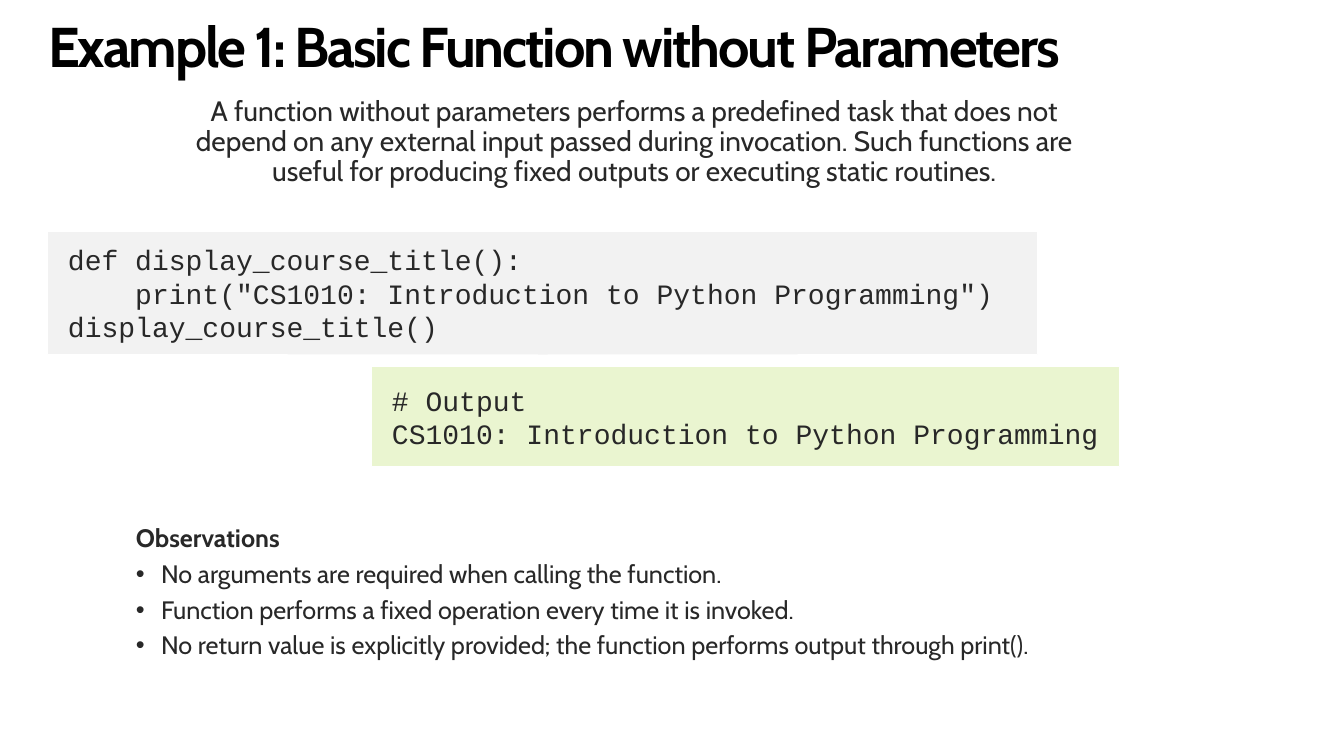
from dataclasses import dataclass

from lxml.etree import SubElement
from pptx import Presentation
from pptx.dml.color import RGBColor
from pptx.enum.shapes import MSO_SHAPE as Shape
from pptx.enum.text import MSO_ANCHOR as Anchor, MSO_AUTO_SIZE as AutoSize, PP_ALIGN as Align
from pptx.oxml.ns import qn
from pptx.util import Emu, Pt

PX = 914400 / 100.8


@dataclass(frozen=True)
class Theme:
    prose_font: str = "Cabin"
    code_font: str = "Courier New"
    title_size: int = 40
    text_size: int = 20
    list_size: int = 18
    title_color: str = "000000"
    text_color: str = "282828"
    edge: str = "FFFFFF"
    code_fill: str = "F2F2F2"
    output_fill: str = "EAF5D0"


THEME = Theme()
PADDING = (20, 16, 20, 16)


def px(length):
    return Emu(round(length * PX))


def place(region, box):
    region.left, region.top, region.width, region.height = map(px, box)


def set_frame(frame, insets, anchor):
    frame.word_wrap = True
    frame.auto_size = AutoSize.NONE
    frame.vertical_anchor = anchor
    frame.margin_left, frame.margin_top, frame.margin_right, frame.margin_bottom = map(px, insets)


def style(paragraph, font, size, color, bold=False, align=Align.LEFT, spacing=None, after=0):
    paragraph.alignment = align
    paragraph.line_spacing = spacing
    paragraph.space_before = Pt(0)
    paragraph.space_after = Pt(after)
    for run in paragraph.runs:
        run.font.name = font
        run.font.size = Pt(size)
        run.font.bold = bold
        run.font.color.rgb = RGBColor.from_string(color)


def set_bullet(paragraph, indent, symbol=None):
    properties = paragraph._p.get_or_add_pPr()
    properties.set("marL", str(px(indent)))
    properties.set("indent", str(px(-indent)))
    if symbol:
        SubElement(properties, qn("a:buFont"), typeface="Arial")
        SubElement(properties, qn("a:buChar"), char=symbol)
    else:
        SubElement(properties, qn("a:buNone"))


def add_heading(slide, box, wording):
    title = slide.shapes.title
    place(title, box)
    set_frame(title.text_frame, (0, 18, 0, 0), Anchor.MIDDLE)
    title.text_frame.text = wording
    heading = title.text_frame.paragraphs[0]
    style(heading, THEME.prose_font, THEME.title_size, THEME.title_color, bold=True, spacing=0.9)
    heading.runs[0].font._element.set("spc", "-150")


def add_intro(slide, box, wording):
    intro = slide.shapes.add_textbox(*map(px, box))
    set_frame(intro.text_frame, PADDING, Anchor.TOP)
    intro.text_frame.text = wording
    style(intro.text_frame.paragraphs[0], THEME.prose_font, THEME.text_size, THEME.text_color,
          align=Align.CENTER, spacing=0.9, after=6)


def add_listing(slide, box, fill, lines):
    panel = slide.shapes.add_shape(Shape.RECTANGLE, *map(px, box))
    panel.shadow.inherit = False
    panel.fill.solid()
    panel.fill.fore_color.rgb = RGBColor.from_string(fill)
    panel.line.color.rgb = RGBColor.from_string(THEME.edge)
    panel.line.width = Pt(0.75)
    set_frame(panel.text_frame, PADDING, Anchor.MIDDLE)
    panel.text_frame.text = "\n".join(lines)
    for line in panel.text_frame.paragraphs:
        style(line, THEME.code_font, THEME.text_size, THEME.text_color)


def add_observations(slide, box, heading, points):
    observations = slide.placeholders[1]
    place(observations, box)
    set_frame(observations.text_frame, PADDING, Anchor.TOP)
    observations.text_frame.text = "\n".join([heading, *points])
    for index, paragraph in enumerate(observations.text_frame.paragraphs):
        style(paragraph, THEME.prose_font, THEME.list_size, THEME.text_color,
              bold=index == 0, spacing=0.9, after=6)
        if index == 0:
            set_bullet(paragraph, 0)
        else:
            set_bullet(paragraph, 25, "•")


def main():
    deck = Presentation()
    deck.slide_width, deck.slide_height = px(1344), px(756)
    slide = deck.slides.add_slide(deck.slide_layouts[1])
    add_heading(slide, (48, -1, 1249, 82), "Example 1: Basic Function without Parameters")
    add_intro(slide, (164, 81, 941, 124),
              "A function without parameters performs a predefined task that does not depend on "
              "any external input passed during invocation. Such functions are useful for "
              "producing fixed outputs or executing static routines.")
    add_listing(slide, (48, 231, 990, 124), THEME.code_fill, [
        "def display_course_title():",
        "    print(\"CS1010: Introduction to Python Programming\")",
        "display_course_title()",
    ])
    add_listing(slide, (372, 367, 748, 100), THEME.output_fill, [
        "# Output",
        "CS1010: Introduction to Python Programming",
    ])
    add_observations(slide, (116, 510, 1039, 168), "Observations", [
        "No arguments are required when calling the function.",
        "Function performs a fixed operation every time it is invoked.",
        "No return value is explicitly provided; the function performs output through print().",
    ])
    deck.save("out.pptx")


if __name__ == "__main__":
    main()
